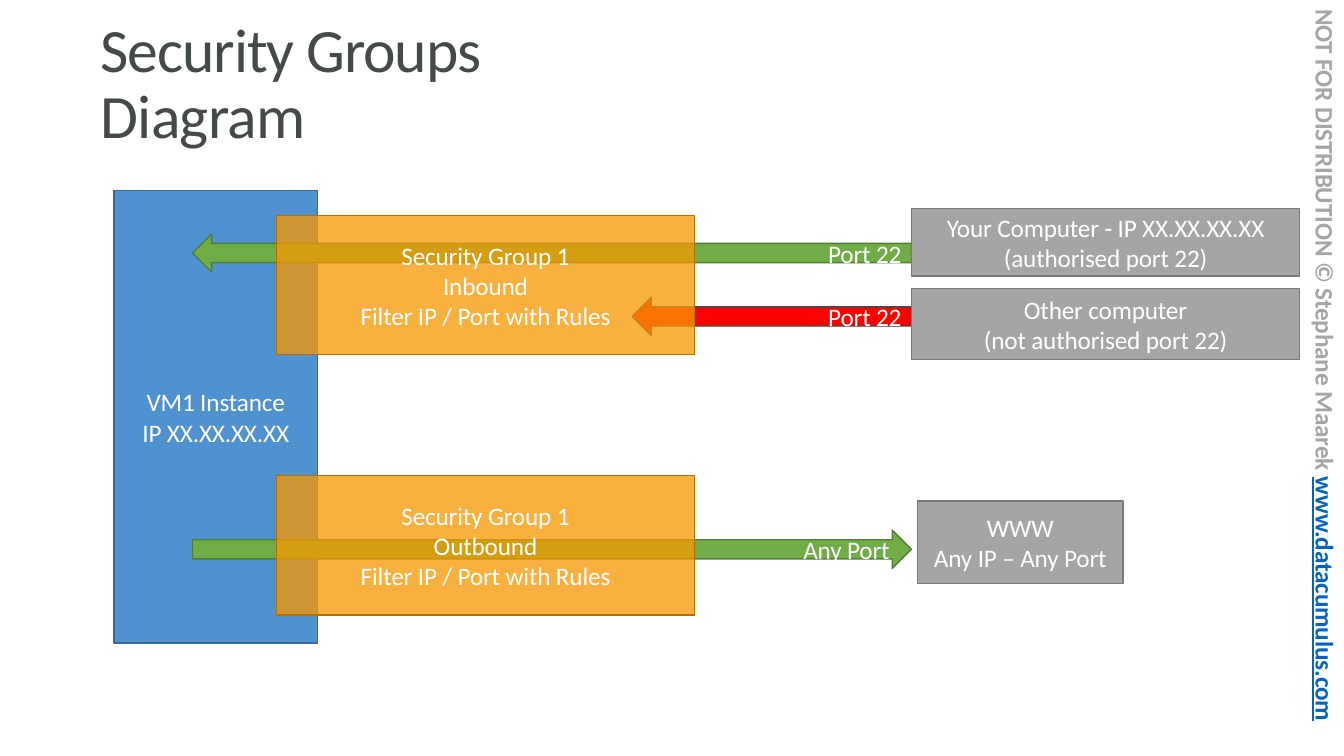
from pptx import Presentation
from pptx import util as u
from pptx.dml.color import RGBColor
from pptx.enum import shapes, text
from pptx.oxml.ns import qn
from lxml import etree

Inches = u.Inches
WHITE = RGBColor(0xFF, 0xFF, 0xFF)
SLATE = RGBColor(0x44, 0x49, 0x49)
GREY, GREY_EDGE = RGBColor(0xA5, 0xA5, 0xA5), RGBColor(0x78, 0x78, 0x78)
BLUE, BLUE_EDGE = RGBColor(0x50, 0x91, 0xD0), RGBColor(0x38, 0x69, 0x98)
GREEN, GREEN_EDGE = RGBColor(0x70, 0xAD, 0x47), RGBColor(0x50, 0x7E, 0x32)
ORANGE, ORANGE_EDGE = RGBColor(0xF6, 0x98, 0x02), RGBColor(0xB5, 0x6E, 0x01)
RED = RGBColor(0xFF, 0x00, 0x00)
LINK = RGBColor(0x05, 0x63, 0xC1)
RECT = shapes.MSO_SHAPE.RECTANGLE
LEFT = shapes.MSO_SHAPE.LEFT_ARROW
RIGHT = shapes.MSO_SHAPE.RIGHT_ARROW


def add_run(p, words, size=18, color=WHITE, spacing=-0.1, bold=False):
    """Append a formatted run to a paragraph."""
    r = p.add_run()
    r.text = words
    r.font.name, r.font.size, r.font.bold = "Calibri", u.Pt(size), bold
    r.font.color.rgb = color
    r._r.get_or_add_rPr().set("spc", str(round(spacing * 100)))
    return r


def set_frame(tf, anchor, insets=(0, 0, 0, 0)):
    """Set wrapping, anchor and insets of a text frame."""
    tf.word_wrap = True
    tf.auto_size = text.MSO_AUTO_SIZE.NONE
    tf.vertical_anchor = anchor
    tf.margin_left, tf.margin_top, tf.margin_right, tf.margin_bottom = map(Inches, insets)


def add_block(s, kind, box, fill, edge, lines, align=text.PP_ALIGN.CENTER,
              right_inset=0, opacity=None):
    """Draw a filled shape with its lines of text in the given box."""
    sp = s.shapes.add_shape(kind, *map(Inches, box))
    sp.shadow.inherit = False
    sp.fill.solid()
    sp.fill.fore_color.rgb = fill
    sp.line.color.rgb = edge
    sp.line.width = u.Pt(1)
    if opacity:
        color = sp.fill._xPr.find(qn("a:solidFill"))[0]
        etree.SubElement(color, qn("a:alpha")).set("val", str(opacity * 1000))
    tf = sp.text_frame
    set_frame(tf, text.MSO_ANCHOR.MIDDLE, (0, 0, right_inset, 0))
    for i, line in enumerate(lines):
        p = tf.paragraphs[0] if i == 0 else tf.add_paragraph()
        p.alignment = align
        add_run(p, line)


def add_title(s, box):
    """Place the two-line slide title."""
    sp = s.shapes.title
    sp.left, sp.top, sp.width, sp.height = map(Inches, box)
    set_frame(sp.text_frame, text.MSO_ANCHOR.MIDDLE, (0, 0.1, 0, 0))
    p = sp.text_frame.paragraphs[0]
    p.alignment = text.PP_ALIGN.LEFT
    p.line_spacing = u.Pt(47.5)
    add_run(p, "Security Groups", 44, SLATE, -0.8)
    p.add_line_break()
    add_run(p, "Diagram", 44, SLATE, -0.6)


def add_side_notice(s, box):
    """Place the vertical copyright line."""
    tf = s.shapes.add_textbox(*map(Inches, box)).text_frame
    set_frame(tf, text.MSO_ANCHOR.TOP)
    tf._txBody.bodyPr.set("vert", "vert")
    p = tf.paragraphs[0]
    add_run(p, "NOT FOR DISTRIBUTION © Stephane Maarek ", color=GREY, bold=True)
    r = add_run(p, "www.datacumulus.com", color=LINK, bold=True)
    r.font.underline = True


def add_arrow(s, kind, box, fill, edge, label, inset):
    """Draw a traffic arrow with its port label at the right."""
    add_block(s, kind, box, fill, edge, [label], text.PP_ALIGN.RIGHT, inset)


def add_diagram(s, x, y):
    """Draw the instance, traffic, filters and peers from a top-left corner."""
    add_block(s, RECT, (x, y, 2.02, 4.49), BLUE, BLUE_EDGE,
              ["VM1 Instance", "IP XX.XX.XX.XX"])
    add_arrow(s, LEFT, (x + 5.14, y + 1.06, 2.77, 0.38), RED, SLATE, "Port 22", 0.1)
    add_arrow(s, LEFT, (x + 0.78, y + 0.43, 7.13, 0.38), GREEN, GREEN_EDGE, "Port 22", 0.1)
    add_arrow(s, RIGHT, (x + 0.78, y + 3.37, 7.13, 0.38), GREEN, GREEN_EDGE, "Any Port", 0.12)
    for dy, direction in ((0.25, "Inbound"), (2.83, "Outbound")):
        add_block(s, RECT, (x + 1.61, y + dy, 4.15, 1.38), ORANGE, ORANGE_EDGE,
                  ["Security Group 1", direction, "Filter IP / Port with Rules"], opacity=76)
    peers = (
        ((7.91, 0.18, 3.85, 0.67), ["Your Computer - IP XX.XX.XX.XX", "(authorised port 22)"]),
        ((7.91, 0.97, 3.85, 0.71), ["Other computer", "(not authorised port 22)"]),
        ((7.97, 3.08, 2.04, 0.82), ["WWW", "Any IP – Any Port"]),
    )
    for (dx, dy, w, h), lines in peers:
        add_block(s, RECT, (x + dx, y + dy, w, h), GREY, GREY_EDGE, lines)


def main():
    """Build and save the slide."""
    prs = Presentation()
    prs.slide_width, prs.slide_height = Inches(13.33), Inches(7.5)
    s = prs.slides.add_slide(prs.slide_layouts[5])
    add_side_notice(s, (12.97, 0.09, 0.33, 7.17))
    add_title(s, (1, 0.08, 3.91, 1.42))
    add_diagram(s, 1.13, 1.89)
    prs.save("out.pptx")


if __name__ == "__main__":
    main()
